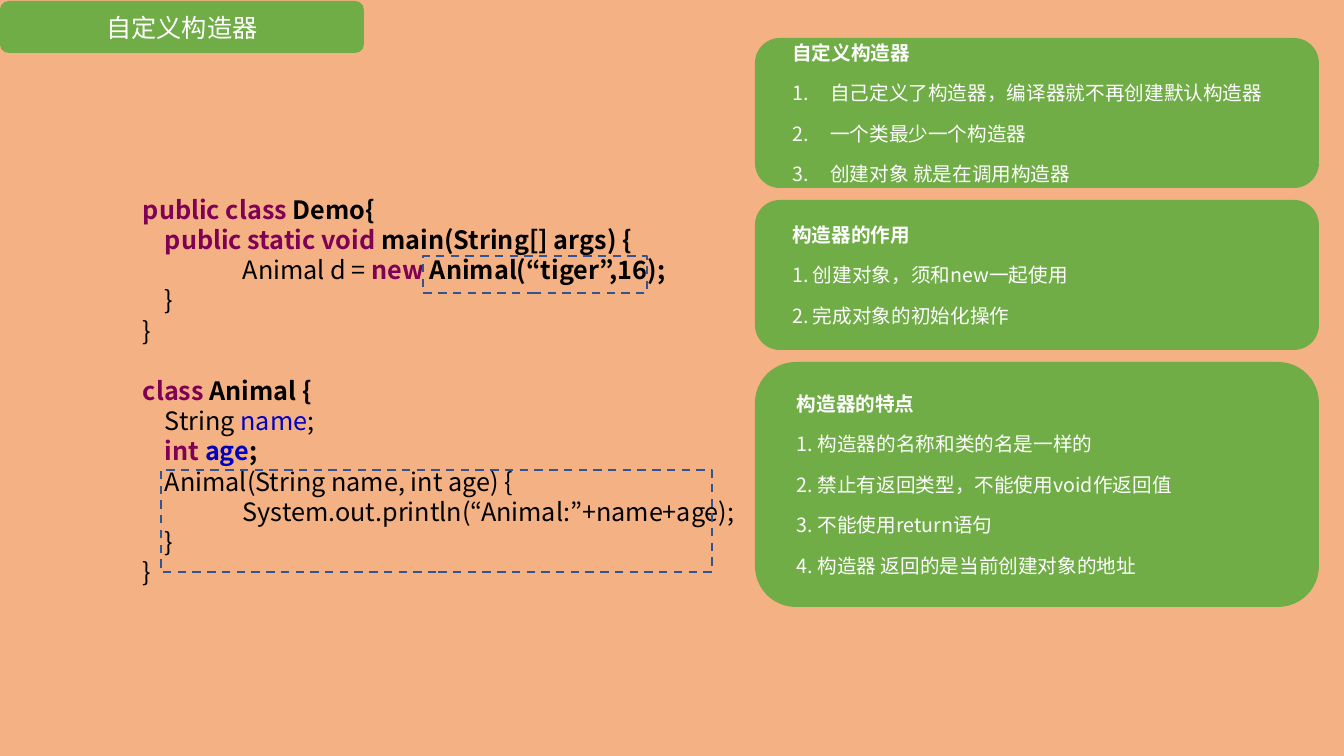
from dataclasses import dataclass

from lxml import etree
from pptx import Presentation
from pptx import util as u
from pptx.dml.color import RGBColor
from pptx.enum import dml, shapes, text
from pptx.oxml.ns import qn

SCALE = 914400 / 100.8


@dataclass(frozen=True)
class Theme:
    """Colours, font and type sizes of the slide."""
    back: str = "F4B183"
    card: str = "70AD47"
    light: str = "FFFFFF"
    dark: str = "000000"
    key: str = "7F0055"
    field: str = "0000C0"
    frame: str = "325491"
    font: str = "Noto Sans CJK JP"
    big: int = 18
    small: int = 14
    gap: int = 6


THEME = Theme()

# Kinds of code text: colour and weight
PLAIN = (THEME.dark, False)
BOLD = (THEME.dark, True)
KEY = (THEME.key, True)
FIELD = (THEME.field, False)
STRONG = (THEME.field, True)

STEP, DEEP = 22, 100
LINE = 30

# Each line of code: left indent, then its pieces
DEMO = [
    (0, [("public class", KEY), (" Demo{", BOLD)]),
    (STEP, [("public static void", KEY), (" main(String[] args) {", BOLD)]),
    (DEEP, [("Animal d = ", PLAIN), ("new", KEY),
            (" Animal(“tiger”,16);", BOLD)]),
    (STEP, [("}", PLAIN)]),
    (0, [("}", PLAIN)]),
]
ANIMAL = [
    (0, [("class", KEY), (" Animal {", BOLD)]),
    (STEP, [("String ", PLAIN), ("name", FIELD), (";", PLAIN)]),
    (STEP, [("int ", KEY), ("age", STRONG), (";", BOLD)]),
    (STEP, [("Animal(String name, int age) {", PLAIN)]),
    (DEEP, [("System.out.println(“Animal:”+name+age);", PLAIN)]),
    (STEP, [("}", PLAIN)]),
    (0, [("}", PLAIN)]),
]

# Each card: top, height, automatic numbers, heading, points
CARDS = [
    (38, 150, True, "自定义构造器", [
        "自己定义了构造器，编译器就不再创建默认构造器",
        "一个类最少一个构造器",
        "创建对象 就是在调用构造器"]),
    (200, 150, False, "构造器的作用", [
        "1. 创建对象，须和new一起使用",
        "2. 完成对象的初始化操作"]),
    (362, 245, False, "构造器的特点", [
        "1. 构造器的名称和类的名是一样的",
        "2. 禁止有返回类型，不能使用void作返回值",
        "3. 不能使用return语句",
        "4. 构造器 返回的是当前创建对象的地址"]),
]


def px(size):
    """Turn pixels into EMU."""
    return u.Emu(round(size * SCALE))


def rgb(code):
    """Turn a hex code into a colour."""
    return RGBColor.from_string(code)


def style(run, size, color, bold=False):
    """Set the font of a run, for Latin and East Asian text."""
    font = run.font
    font.name, font.size, font.bold = THEME.font, u.Pt(size), bold
    font.color.rgb = rgb(color)
    latin = run._r.get_or_add_rPr().find(qn("a:latin"))
    east = etree.Element(qn("a:ea"), typeface=THEME.font)
    latin.addnext(east)


def indent(para, left, first=0):
    """Indent a paragraph by pixels."""
    props = para._p.get_or_add_pPr()
    props.set("marL", str(px(left)))
    props.set("indent", str(px(first)))


def number(para):
    """Number a paragraph automatically."""
    props = para._p.get_or_add_pPr()
    etree.SubElement(props, qn("a:buFont"), typeface="+mj-lt")
    etree.SubElement(props, qn("a:buAutoNum"), type="arabicPeriod")


def panel(slide, box):
    """Add a filled round panel and return its text frame."""
    shape = slide.shapes.add_shape(
        shapes.MSO_SHAPE.ROUNDED_RECTANGLE, *map(px, box))
    shape.shadow.inherit = False
    shape.fill.solid()
    shape.fill.fore_color.rgb = rgb(THEME.card)
    shape.line.fill.background()
    frame = shape.text_frame
    frame.word_wrap = True
    frame.vertical_anchor = text.MSO_ANCHOR.MIDDLE
    return frame


def title(slide, words):
    """Add the title panel."""
    frame = panel(slide, (0, 1, 364, 52))
    frame.text = words
    para = frame.paragraphs[0]
    para.alignment = text.PP_ALIGN.CENTER
    style(para.runs[0], THEME.big, THEME.light)


def card(slide, top, height, auto, head, points):
    """Add a card with a bold heading and its points."""
    frame = panel(slide, (755, top, 564, height))
    frame.text = "\n".join([head, *points])
    for row, para in enumerate(frame.paragraphs):
        para.alignment = text.PP_ALIGN.LEFT
        para.space_before = para.space_after = u.Pt(THEME.gap)
        if auto and row:
            indent(para, 58, -38)
            number(para)
        else:
            indent(para, 20)
        style(para.runs[0], THEME.small, THEME.light, bold=row == 0)


def code(slide, box, blocks):
    """Add code blocks, with one line of space above each."""
    frame = slide.shapes.add_textbox(*map(px, box)).text_frame
    frame.word_wrap = True
    frame.auto_size = text.MSO_AUTO_SIZE.SHAPE_TO_FIT_TEXT
    frame.margin_top = px(LINE + 5)
    para = None
    for block in blocks:
        for row, (left, parts) in enumerate(block):
            first = para is None
            para = frame.paragraphs[0] if first else frame.add_paragraph()
            indent(para, left)
            if row == 0 and not first:
                para.space_before = u.Pt(LINE * 72 / 100.8)
            for words, kind in parts:
                run = para.add_run()
                run.text = words
                style(run, THEME.big, *kind)


def outline(slide, box):
    """Add a dashed frame around a piece of code."""
    shape = slide.shapes.add_shape(shapes.MSO_SHAPE.RECTANGLE, *map(px, box))
    shape.shadow.inherit = False
    shape.fill.background()
    shape.line.color.rgb = rgb(THEME.frame)
    shape.line.width = u.Pt(1.5)
    shape.line.dash_style = dml.MSO_LINE.DASH


def main():
    """Build the slide and save it."""
    deck = Presentation()
    deck.slide_width, deck.slide_height = px(1344), px(756)
    slide = deck.slides.add_slide(deck.slide_layouts[6])
    slide.background.fill.solid()
    slide.background.fill.fore_color.rgb = rgb(THEME.back)
    code(slide, (133, 159, 1133, 437), [DEMO, ANIMAL])
    outline(slide, (423, 256, 224, 37))
    outline(slide, (161, 470, 551, 102))
    title(slide, "自定义构造器")
    for item in reversed(CARDS):
        card(slide, *item)
    deck.save("out.pptx")


main()
